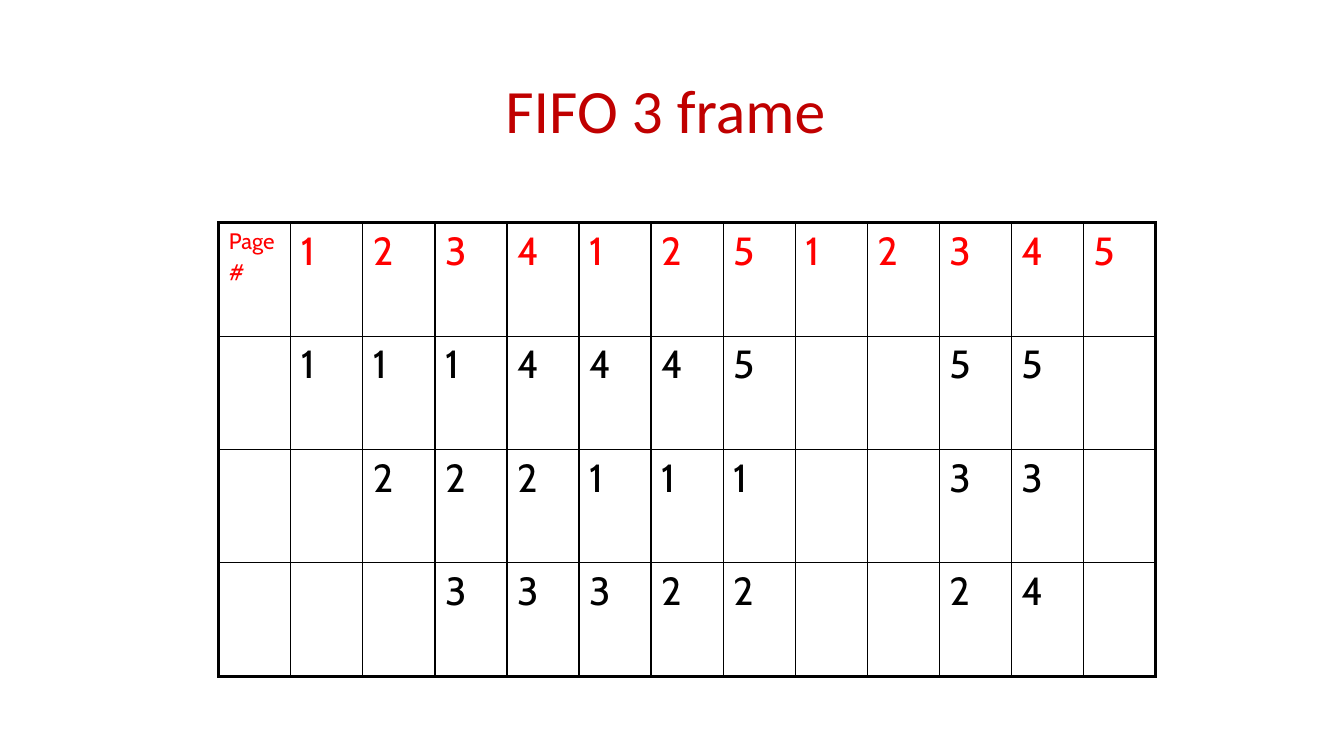
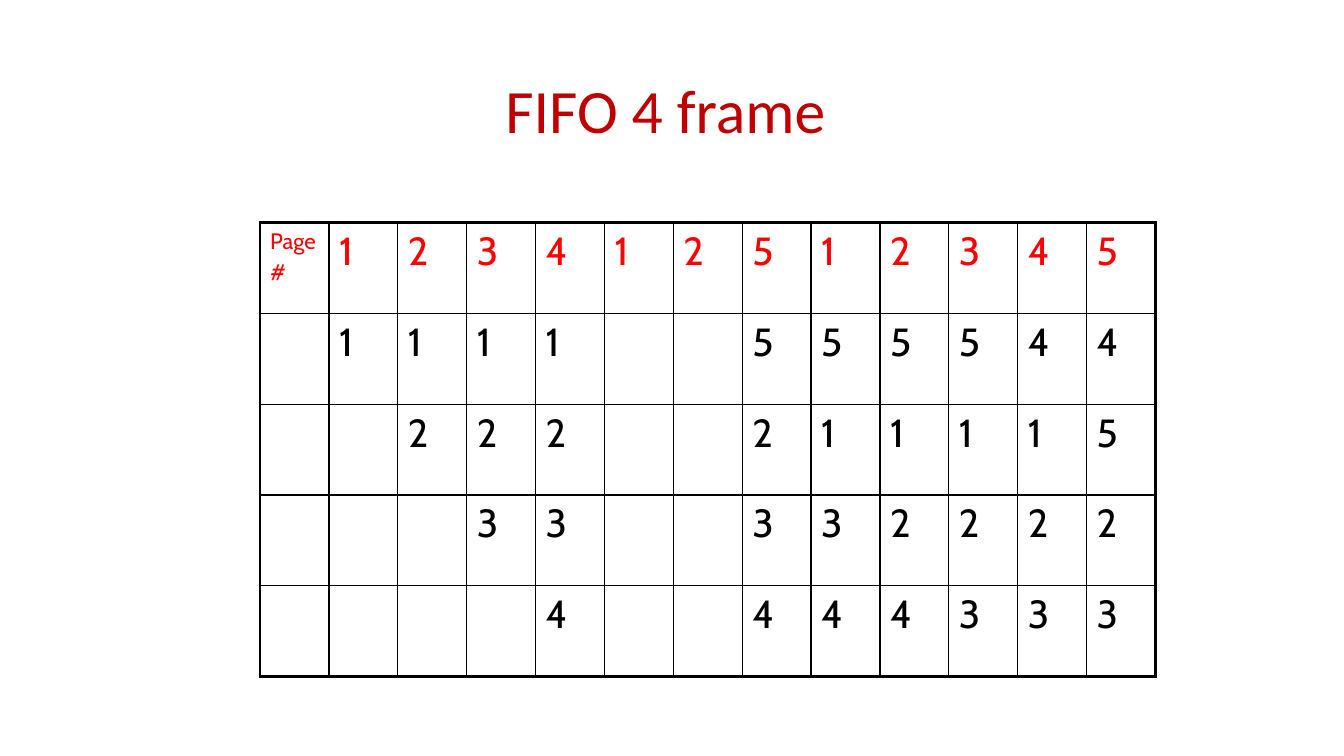
from lxml import etree
from pptx import Presentation
from pptx.dml.color import RGBColor
from pptx.enum.text import MSO_ANCHOR, MSO_AUTO_SIZE, PP_ALIGN
from pptx.oxml.ns import qn
from pptx.util import Inches, Pt

COLORS = {"title": "C00000", "header": "FF0000", "body": "000000", "line": "000000"}
TITLE_BOX = (0.92, 0.4, 11.5, 1.45)
TITLE_FONT = {"name": "Calibri", "size": Pt(44), "bold": False}
LABEL_FONT = {"name": "Cabin", "size": Pt(16), "bold": False}
PAGE_FONT = {"name": "Cabin", "size": Pt(28), "bold": False}
OUTER, INNER = 2.25, 1
REQUESTS = [1, 2, 3, 4, 1, 2, 5, 1, 2, 3, 4, 5]


def style(font, formats, color):
    for name, value in formats.items():
        setattr(font, name, value)
    font.color.rgb = RGBColor.from_string(COLORS[color])


def add_title(s, text, box):
    title = s.shapes.title
    title.left, title.top, title.width, title.height = map(Inches, box)
    tf = title.text_frame
    tf.auto_size = MSO_AUTO_SIZE.NONE
    tf.vertical_anchor = MSO_ANCHOR.MIDDLE
    p = tf.paragraphs[0]
    p.alignment = PP_ALIGN.CENTER
    p.line_spacing = 0.9
    r = p.add_run()
    r.text = text
    style(r.font, TITLE_FONT, "title")


def fifo_columns(requests, frames):
    """Frame contents after each page fault; a hit leaves its column empty."""
    memory, oldest, columns = [""] * frames, 0, []
    for page in requests:
        if page in memory:
            columns.append([""] * frames)
            continue
        memory[oldest] = page
        oldest = (oldest + 1) % frames
        columns.append(list(memory))
    return columns


def set_borders(cell, widths):
    tcPr = cell._tc.get_or_add_tcPr()
    for side in "LRTB":
        ln = etree.SubElement(tcPr, qn(f"a:ln{side}"), w=str(int(Pt(widths[side]))))
        fill = etree.SubElement(ln, qn("a:solidFill"))
        etree.SubElement(fill, qn("a:srgbClr"), val=COLORS["line"])


def fill_cell(cell, text, formats, color):
    for i, line in enumerate(text.split("\n")):
        tf = cell.text_frame
        p = tf.add_paragraph() if i else tf.paragraphs[0]
        if i:
            p.space_before = Pt(3)
        r = p.add_run()
        r.text = line
        style(r.font, formats, color)


def add_page_table(s, frames, box):
    # Header of requested pages, then one row per frame
    columns = fifo_columns(REQUESTS, frames)
    rows = [["Page\n#", *REQUESTS]] + [["", *row] for row in zip(*columns)]
    n_rows, n_cols = len(rows), len(rows[0])
    table = s.shapes.add_table(n_rows, n_cols, *map(Inches, box)).table
    table.first_row = table.horz_banding = False
    for col in table.columns:
        col.width = Inches(box[2] / n_cols)
    for row in table.rows:
        row.height = Inches(box[3] / n_rows)

    # Cells: thick frame outside, thin grid inside
    for i, row in enumerate(rows):
        for j, value in enumerate(row):
            cell = table.cell(i, j)
            edges = {"L": j == 0, "R": j == n_cols - 1,
                     "T": i == 0, "B": i == n_rows - 1}
            set_borders(cell, {k: OUTER if edge else INNER for k, edge in edges.items()})
            cell.fill.background()
            if value != "":
                fill_cell(cell, str(value), PAGE_FONT if j else LABEL_FONT,
                          "body" if i else "header")


def add_fifo_slide(prs, frames, table_box):
    s = prs.slides.add_slide(prs.slide_layouts[5])
    add_title(s, f"FIFO {frames} frame ", TITLE_BOX)
    add_page_table(s, frames, table_box)


def main():
    prs = Presentation()
    prs.slide_width, prs.slide_height = Inches(13.33), Inches(7.5)
    add_fifo_slide(prs, 3, (2.17, 2.21, 9.29, 4.5))
    add_fifo_slide(prs, 4, (2.58, 2.21, 8.88, 4.5))
    prs.save("out.pptx")


if __name__ == "__main__":
    main()
